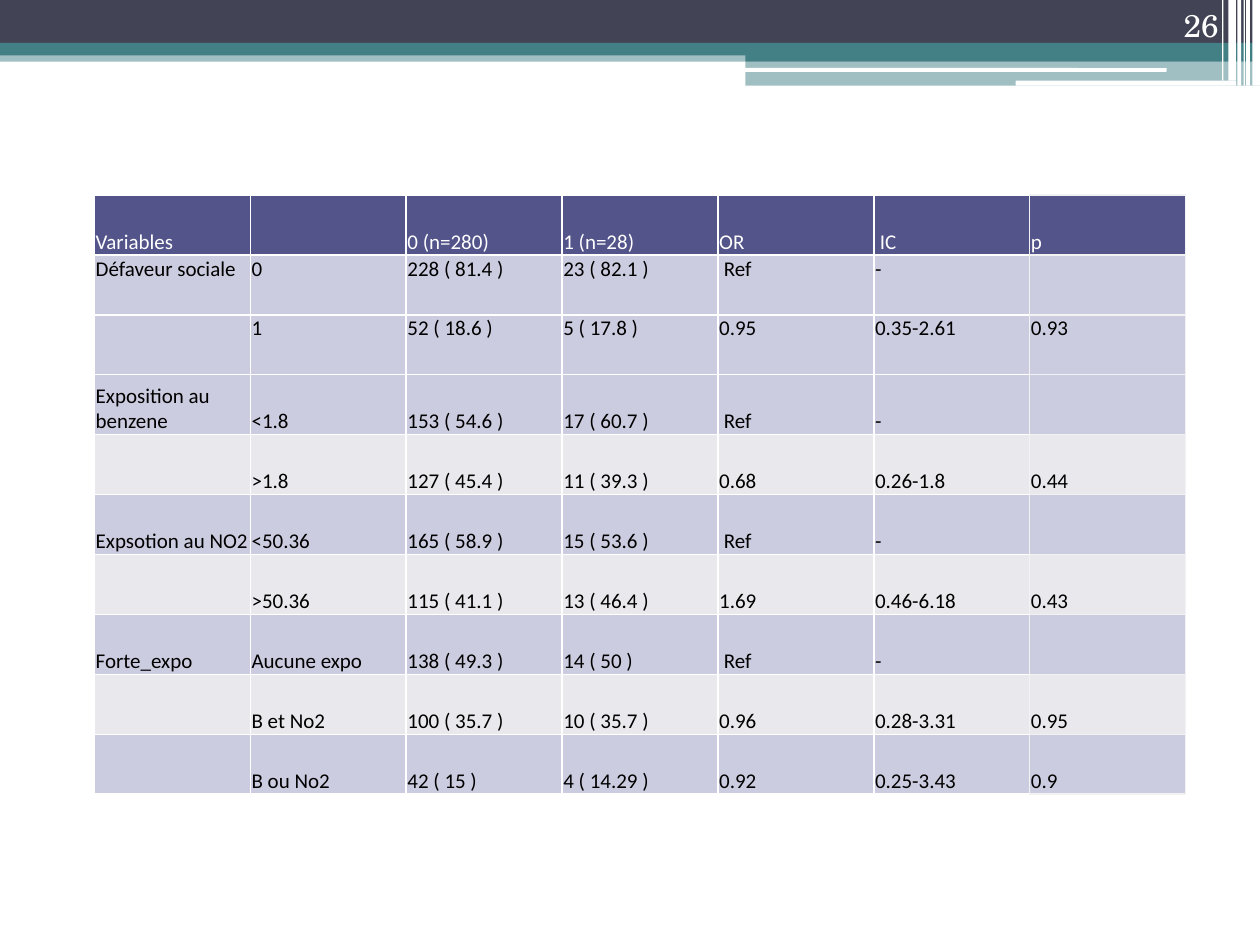
"""Build a slide with a banded header and a table of odds ratios."""
from dataclasses import dataclass
from typing import NamedTuple

from lxml.etree import SubElement
from pptx import Presentation
from pptx.dml.color import RGBColor
from pptx.enum.shapes import MSO_SHAPE
from pptx.enum.text import MSO_ANCHOR, PP_ALIGN
from pptx.oxml.ns import qn
from pptx.util import Pt


@dataclass(frozen=True)
class Theme:
    navy: str = "424456"
    teal: str = "438086"
    white: str = "FFFFFF"
    black: str = "000000"
    header: str = "53548A"
    band: str = "CCCCE0"
    plain: str = "E9E9ED"
    edge: str = "F2F2F2"
    table_font: str = "Calibri"
    number_font: str = "TeX Gyre Schola"
    table_size: float = 12
    number_size: float = 18


class Bar(NamedTuple):
    left: float
    top: float
    width: float
    height: float
    color: str
    opacity: int = 100
    rounded: bool = False


class TableRow(NamedTuple):
    texts: tuple[str, ...]
    fill: str
    color: str = "000000"
    anchor: MSO_ANCHOR = MSO_ANCHOR.BOTTOM


THEME = Theme()
STRIPES = ((715.68, 4.32, 48.96), (712.08, 2.16, 48.96), (710.64, 0.72, 48.96),
           (707.04, 2.16, 48.96), (702, 4.32, 46.08), (698.4, 0.72, 46.08))
BARS = (
    Bar(0, 28.8, 720, 6.48, THEME.teal, 50),
    Bar(0, 0, 720, 24.48, THEME.navy),
    Bar(0, 24.48, 720, 7.2, THEME.teal),
    Bar(426, 28.08, 294, 7.2, THEME.teal),
    Bar(426, 35.28, 294, 13.68, THEME.teal, 50),
    Bar(425.5, 38.88, 241.2, 2.16, THEME.white, rounded=True),
    Bar(580.3, 46.08, 126, 2.88, THEME.white, rounded=True),
    *(Bar(left, 0, width, height, THEME.white) for left, width, height in STRIPES),
)
REFERENCE = "\u00a0Ref"
ROWS = (
    TableRow(("Variables", "", "0 (n=280)", "1 (n=28)", "OR", "\u00a0IC ", "p"),
             THEME.header, THEME.white),
    TableRow(("Défaveur sociale", "0", "228 ( 81.4 )", "23 ( 82.1 )", REFERENCE, "-", ""),
             THEME.band, anchor=MSO_ANCHOR.TOP),
    TableRow(("", "1", "52 ( 18.6 )", "5 ( 17.8 )", "0.95", "0.35-2.61", "0.93"),
             THEME.band, anchor=MSO_ANCHOR.TOP),
    TableRow(("Exposition au benzene", "<1.8", "153 ( 54.6 )", "17 ( 60.7 )", REFERENCE, "-", ""),
             THEME.band),
    TableRow(("", ">1.8", "127 ( 45.4 )", "11 ( 39.3 )", "0.68", "0.26-1.8", "0.44"), THEME.plain),
    TableRow(("Expsotion au NO2", "<50.36", "165 ( 58.9 )", "15 ( 53.6 )", REFERENCE, "-", ""),
             THEME.band),
    TableRow(("", ">50.36", "115 ( 41.1 )", "13 ( 46.4 )", "1.69", "0.46-6.18", "0.43"), THEME.plain),
    TableRow(("Forte_expo", "Aucune expo", "138 ( 49.3 )", "14 ( 50 )", REFERENCE, "-", ""),
             THEME.band),
    TableRow(("", "B et No2", "100 ( 35.7 )", "10 ( 35.7 )", "0.96", "0.28-3.31", "0.95"), THEME.plain),
    TableRow(("", "B ou No2", "42 ( 15 )", "4 ( 14.29 )", "0.92", "0.25-3.43", "0.9"), THEME.band),
)


def style_font(paragraph, name: str, size: float, color: str) -> None:
    font = paragraph.font
    font.name, font.size, font.bold = name, Pt(size), False
    font.color.rgb = RGBColor.from_string(color)


def draw_bar(slide, bar: Bar) -> None:
    kind = MSO_SHAPE.ROUNDED_RECTANGLE if bar.rounded else MSO_SHAPE.RECTANGLE
    shape = slide.shapes.add_shape(kind, Pt(bar.left), Pt(bar.top), Pt(bar.width), Pt(bar.height))
    shape.shadow.inherit = False
    shape.line.fill.background()
    shape.fill.solid()
    shape.fill.fore_color.rgb = RGBColor.from_string(bar.color)
    if bar.opacity < 100:
        color = shape.fill._xPr.find(qn("a:solidFill"))[0]
        SubElement(color, qn("a:alpha"), val=str(bar.opacity * 1000))


def draw_number(slide, text: str) -> None:
    shape = slide.shapes.add_textbox(Pt(643.68), Pt(0), Pt(59.76), Pt(28.8))
    frame = shape.text_frame
    frame.word_wrap = True
    frame.vertical_anchor = MSO_ANCHOR.BOTTOM
    paragraph = frame.paragraphs[0]
    paragraph.text = text
    paragraph.alignment = PP_ALIGN.RIGHT
    style_font(paragraph, THEME.number_font, THEME.number_size, THEME.white)


def draw_borders(cell, colors: dict[str, str]) -> None:
    properties = cell._tc.get_or_add_tcPr()
    for side, color in colors.items():
        line = SubElement(properties, qn(f"a:ln{side}"), w=str(Pt(1)))
        SubElement(SubElement(line, qn("a:solidFill")), qn("a:srgbClr"), val=color)


def fill_cell(cell, row: TableRow, column: int) -> None:
    last = len(row.texts) - 1
    inner = THEME.edge if column == last else THEME.white
    right = THEME.edge if column >= last - 1 else THEME.white
    draw_borders(cell, {"L": inner, "R": right, "T": inner, "B": inner})
    cell.fill.solid()
    cell.fill.fore_color.rgb = RGBColor.from_string(row.fill)
    cell.margin_left = cell.margin_right = cell.margin_top = Pt(0.72)
    cell.margin_bottom = Pt(0)
    cell.vertical_anchor = row.anchor
    paragraph = cell.text_frame.paragraphs[0]
    paragraph.text = row.texts[column]
    style_font(paragraph, THEME.table_font, THEME.table_size, row.color)


def draw_table(slide, rows: tuple[TableRow, ...]) -> None:
    column_count = len(rows[0].texts)
    table = slide.shapes.add_table(len(rows), column_count, Pt(54), Pt(111.4),
                                   Pt(623.5), Pt(342.5)).table
    table.horz_banding = False
    for row_index, row in enumerate(rows):
        for column in range(column_count):
            fill_cell(table.cell(row_index, column), row, column)


def main() -> None:
    presentation = Presentation()
    presentation.slide_width, presentation.slide_height = Pt(720), Pt(540)
    slide = presentation.slides.add_slide(presentation.slide_layouts[6])
    for bar in BARS:
        draw_bar(slide, bar)
    draw_number(slide, "26")
    draw_table(slide, ROWS)
    presentation.save("out.pptx")


main()
